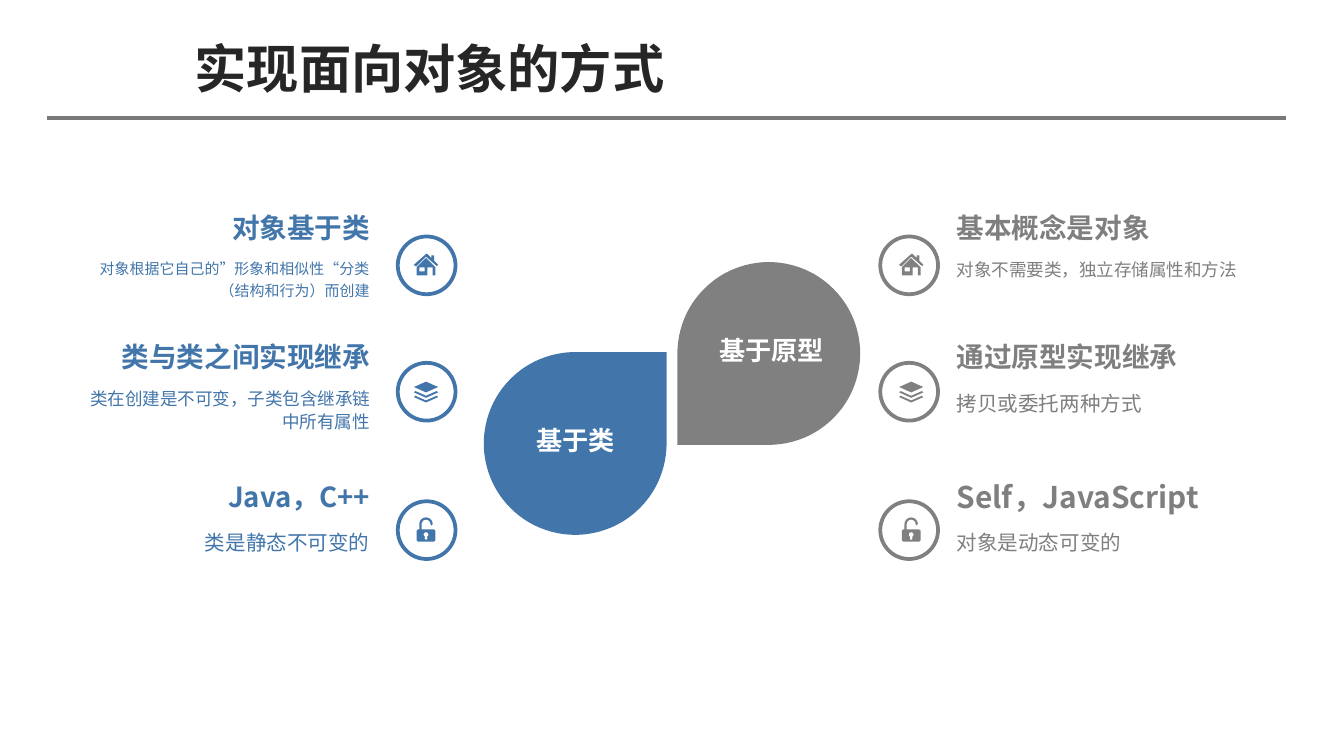
import math
from dataclasses import dataclass
from typing import NamedTuple

import pptx
import pptx.dml.color
import pptx.enum.shapes
import pptx.enum.text
import pptx.oxml
import pptx.oxml.ns
import pptx.util

Inches = pptx.util.Inches
MSO_SHAPE = pptx.enum.shapes.MSO_SHAPE
ALIGN = pptx.enum.text.PP_ALIGN
ANCHOR = pptx.enum.text.MSO_ANCHOR


@dataclass(frozen=True)
class Theme:
    font: str = "Noto Sans CJK SC"
    title: str = "262626"
    rule: str = "797979"
    blue: str = "4276AA"
    gray: str = "808080"
    gray_text: str = "7F7F7F"
    white: str = "FFFFFF"
    title_size: float = 28
    drop_size: float = 14
    heading_size: float = 14.8
    large_heading_size: float = 16
    detail_size: float = 11
    medium_detail_size: float = 9.35
    small_detail_size: float = 8


THEME = Theme()


class Style(NamedTuple):
    size: float
    color: str
    bold: bool = False
    align: int = ALIGN.LEFT
    anchor: int = ANCHOR.MIDDLE
    spacing: float = 1.0
    tab: float = 0


class Icon(NamedTuple):
    dx: float
    dy: float
    outlines: list


class Row(NamedTuple):
    heading_top: float
    circle_top: float
    icon: Icon


class Point(NamedTuple):
    heading: str
    detail: str
    detail_size: float
    spacing: float = 1.2
    heading_size: float = THEME.heading_size


class Side(NamedTuple):
    text_left: float
    text_width: float
    circle_left: float
    icon_left: float
    color: str
    text_color: str
    align: int
    points: list


class Drop(NamedTuple):
    text: str
    left: float
    top: float
    rotation: int
    color: str
    label: tuple


def rgb(value: str) -> pptx.dml.color.RGBColor:
    return pptx.dml.color.RGBColor.from_string(value)


def arc(cx: float, cy: float, radius: float, start: int, end: int) -> list:
    angles = [math.radians(start + (end - start) * i / 12) for i in range(13)]
    return [(cx + radius * math.cos(a), cy + radius * math.sin(a)) for a in angles]


def add_text(slide, text: str, left: float, top: float, width: float, height: float, style: Style) -> None:
    frame = slide.shapes.add_textbox(Inches(left), Inches(top), Inches(width), Inches(height)).text_frame
    frame.word_wrap = True
    frame.vertical_anchor = style.anchor
    frame.text = text
    paragraph = frame.paragraphs[0]
    paragraph.alignment = style.align
    paragraph.line_spacing = style.spacing
    if style.tab:
        paragraph._p.get_or_add_pPr().append(pptx.oxml.parse_xml(
            f'<a:tabLst {pptx.oxml.ns.nsdecls("a")}><a:tab pos="{Inches(style.tab)}" algn="l"/></a:tabLst>'))
    for run in paragraph.runs:
        run.font.size = pptx.util.Pt(style.size)
        run.font.bold = style.bold
        run.font.name = THEME.font
        run.font.color.rgb = rgb(style.color)
        east_asian = pptx.oxml.parse_xml(f'<a:ea {pptx.oxml.ns.nsdecls("a")} typeface="{THEME.font}"/>')
        run.font._element.find(pptx.oxml.ns.qn("a:latin")).addnext(east_asian)


def add_rule(slide) -> None:
    rule = slide.shapes.add_connector(
        pptx.enum.shapes.MSO_CONNECTOR.STRAIGHT, Inches(0.35), Inches(0.88), Inches(9.57), Inches(0.88))
    rule.line.color.rgb = rgb(THEME.rule)
    rule.line.width = pptx.util.Pt(2.25)
    rule._element.spPr.append(pptx.oxml.parse_xml(f'<a:effectLst {pptx.oxml.ns.nsdecls("a")}/>'))


def add_drop(slide, drop: Drop) -> None:
    teardrop = slide.shapes.add_shape(
        MSO_SHAPE.TEAR, Inches(drop.left), Inches(drop.top), Inches(1.36), Inches(1.36))
    teardrop.rotation = drop.rotation
    teardrop.shadow.inherit = False
    teardrop.fill.solid()
    teardrop.fill.fore_color.rgb = rgb(drop.color)
    teardrop.line.fill.background()
    add_text(slide, drop.text, *drop.label, Style(THEME.drop_size, THEME.white, True, ALIGN.CENTER))


def add_circle(slide, left: float, top: float, color: str) -> None:
    circle = slide.shapes.add_shape(MSO_SHAPE.OVAL, Inches(left), Inches(top), Inches(0.43), Inches(0.43))
    circle.shadow.inherit = False
    circle.fill.background()
    circle.line.color.rgb = rgb(color)
    circle.line.width = pptx.util.Pt(2)


def add_icon(slide, icon: Icon, left: float, top: float, color: str) -> None:
    outlines = [[(x * 10, y * 10) for x, y in outline] for outline in icon.outlines]
    builder = slide.shapes.build_freeform(*outlines[0][0], scale=Inches(0.001))
    builder.add_line_segments(outlines[0][1:])
    for outline in outlines[1:]:
        builder.move_to(*outline[0])
        builder.add_line_segments(outline[1:])
    symbol = builder.convert_to_shape(Inches(left + icon.dx), Inches(top + icon.dy))
    symbol.shadow.inherit = False
    symbol.fill.solid()
    symbol.fill.fore_color.rgb = rgb(color)
    symbol.line.fill.background()


def add_side(slide, side: Side, rows: list) -> None:
    for row, point in zip(rows, side.points):
        add_text(slide, point.heading, side.text_left, row.heading_top, side.text_width, 0.33,
                 Style(point.heading_size, side.text_color, True, side.align))
        add_text(slide, point.detail, side.text_left, row.heading_top + 0.33, side.text_width, 0.43,
                 Style(point.detail_size, side.text_color, False, side.align, ANCHOR.TOP, point.spacing))
        add_circle(slide, side.circle_left, row.circle_top, side.color)
        add_icon(slide, row.icon, side.icon_left, row.circle_top, side.color)


HOUSE = Icon(0, 0.13, [
    [(18, 8), (17, 9), (9, 2), (2, 9), (1, 9), (0, 8), (9, 0), (10, 0), (13, 3), (13, 1), (15, 1), (15, 5)],
    [(16, 10), (16, 16), (14, 16), (14, 10), (10, 10), (10, 16), (2, 16), (2, 10), (9, 3)],
    [(8, 10), (4, 10), (4, 13), (8, 13)],
])
LAYERS = Icon(0, 0.14, [
    [(0, 4), (9, 0), (18, 4), (9, 8)],
    *[[(0, y + 1), (1, y), (9, y + 3.5), (17, y), (18, y + 1), (9, y + 5)] for y in (7, 10.5)],
])
LOCK = Icon(0.02, 0.12, [
    [(13, 18), (1, 18), (0, 17), (0, 10), (1, 9), (2, 9), *arc(7, 5, 5, 180, 360), (11, 6),
     *arc(7, 5, 3.3, 360, 180), (3.7, 9), (13, 9), (14, 10), (14, 17)],
    [*arc(7, 12.8, 1.8, 120, 420), (8, 16), (7, 17), (6, 16)],
])
ROWS = [Row(1.53, 1.76, HOUSE), Row(2.49, 2.7, LAYERS), Row(3.53, 3.73, LOCK)]
SIDES = [
    Side(0.55, 2.3, 2.96, 3.08, THEME.blue, THEME.blue, ALIGN.RIGHT, [
        Point("对象基于类", "对象根据它自己的”形象和相似性“分类（结构和行为）而创建", THEME.small_detail_size),
        Point("类与类之间实现继承", "类在创建是不可变，子类包含继承链中所有属性", THEME.medium_detail_size, 1.1),
        Point("Java，C++", "类是静态不可变的", THEME.detail_size),
    ]),
    Side(7.02, 2.41, 6.55, 6.69, THEME.gray, THEME.gray_text, ALIGN.LEFT, [
        Point("基本概念是对象", "对象不需要类，独立存储属性和方法", THEME.medium_detail_size, 1.1),
        Point("通过原型实现继承", "拷贝或委托两种方式", THEME.detail_size),
        Point("Self，JavaScript", "对象是动态可变的", THEME.detail_size, heading_size=THEME.large_heading_size),
    ]),
]
DROPS = [
    Drop("基于原型", 5.04, 1.95, 180, THEME.gray, (5.2, 2.34, 1.08, 0.53)),
    Drop("基于类", 3.6, 2.62, 0, THEME.blue, (3.72, 3.01, 1.13, 0.53)),
]


def main() -> None:
    deck = pptx.Presentation()
    deck.slide_width = Inches(10)
    deck.slide_height = Inches(10 * 9 / 16)
    slide = deck.slides.add_slide(deck.slide_layouts[6])
    add_rule(slide)
    add_text(slide, "\t实现面向对象的方式", 0.35, 0.23, 9.21, 0.54,
             Style(THEME.title_size, THEME.title, True, tab=1))
    for drop in DROPS:
        add_drop(slide, drop)
    for side in SIDES:
        add_side(slide, side, ROWS)
    deck.save("out.pptx")


if __name__ == "__main__":
    main()
